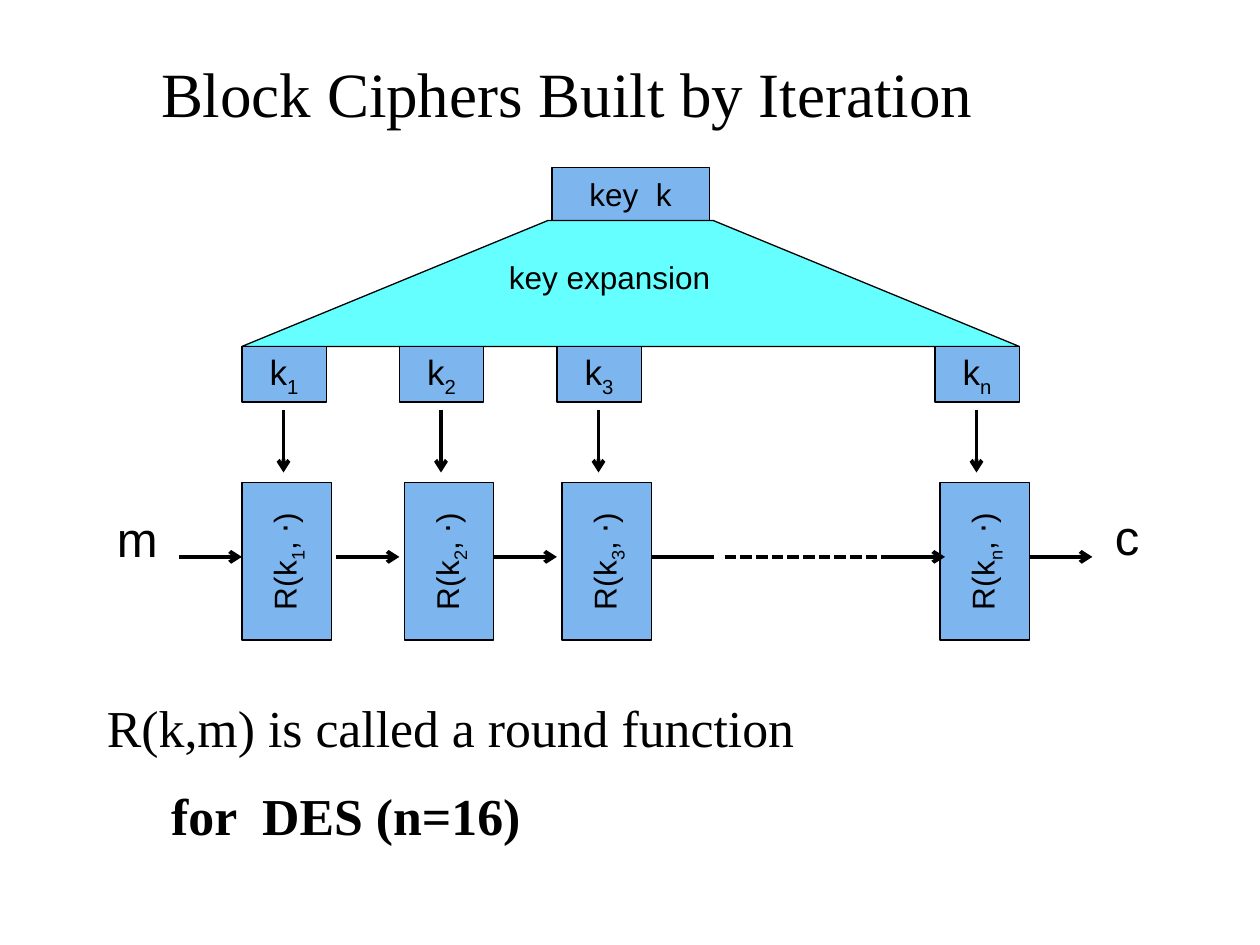
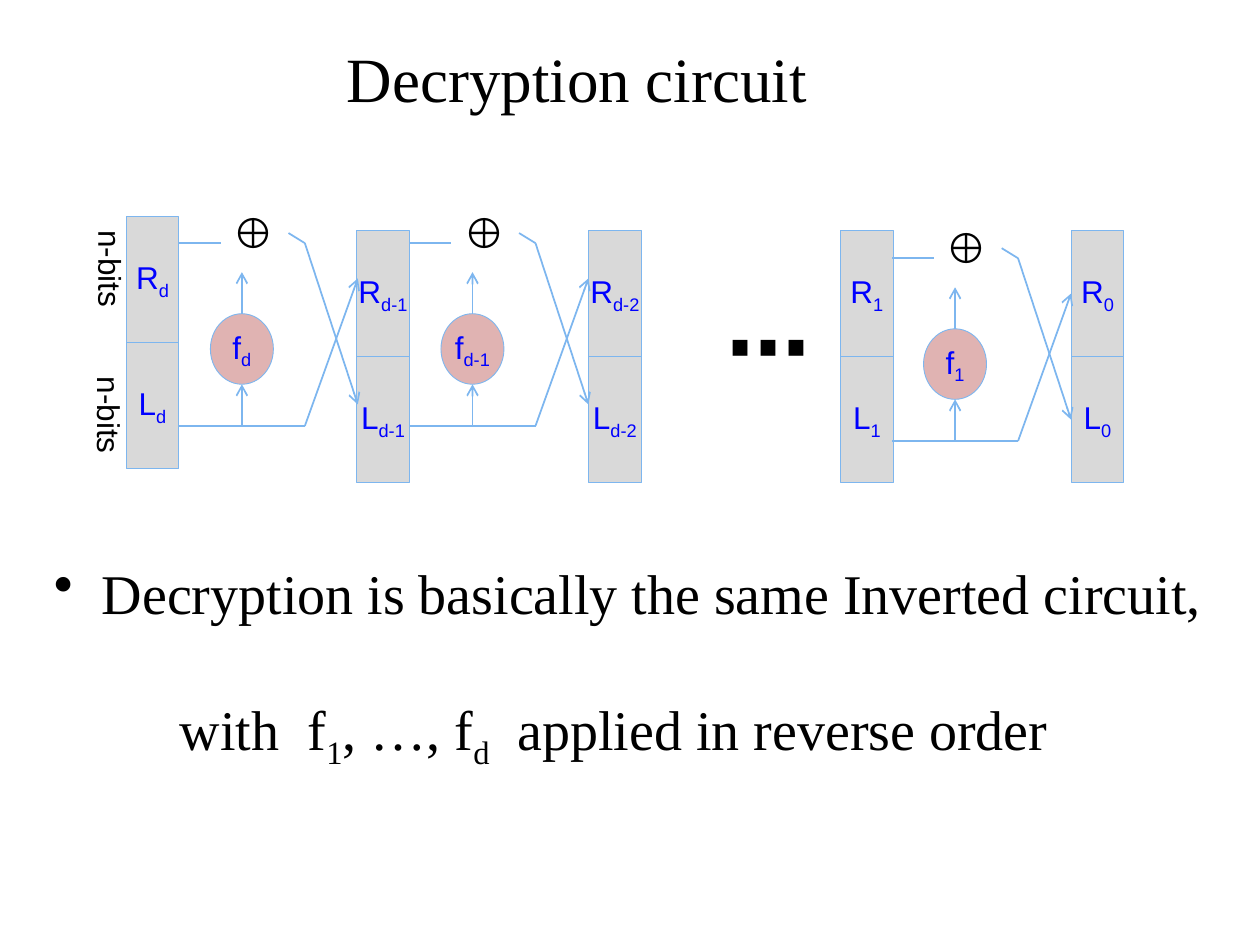
from lxml import etree
from pptx import Presentation
from pptx.dml.color import RGBColor
from pptx.enum.dml import MSO_LINE
from pptx.enum.shapes import MSO_CONNECTOR, MSO_SHAPE
from pptx.enum.text import MSO_ANCHOR, PP_ALIGN
from pptx.oxml.ns import qn
from pptx.util import Inches, Pt

RECTANGLE, OVAL, TRAPEZOID = MSO_SHAPE.RECTANGLE, MSO_SHAPE.OVAL, MSO_SHAPE.TRAPEZOID
STRAIGHT, DASH = MSO_CONNECTOR.STRAIGHT, MSO_LINE.SQUARE_DOT
CENTER, LEFT = PP_ALIGN.CENTER, PP_ALIGN.LEFT
MIDDLE, TOP = MSO_ANCHOR.MIDDLE, MSO_ANCHOR.TOP
SANS, SERIF = "Arial", "Times New Roman"
COLORS = {"black": "000000", "blue": "7DB6EF", "cyan": "66FFFF",
          "gray": "D9D9D9", "pink": "E0B3B2", "ink": "0000FF"}
TITLE = {"size": 36, "font": SERIF, "align": CENTER, "anchor": MIDDLE, "wrap": True}
BODY = {"font": SERIF, "wrap": True}
KEY_BLOCK = {"kind": RECTANGLE, "fill": "blue"}
CELL = {"fill": "gray", "edge": "blue", "weight": 0.5, "color": "ink", "side": 0}


def place(page, at, label, size=18, kind=None, fill=None, edge="black", weight=0.75,
          color="black", font=SANS, align=LEFT, anchor=TOP, wrap=False, side=0.1, turn=0):
    area = [Inches(length) for length in at]
    if kind is None:
        box = page.shapes.add_textbox(*area)
    else:
        box = page.shapes.add_shape(kind, *area)
        box.shadow.inherit = False
        box.fill.solid()
        box.fill.fore_color.rgb = RGBColor.from_string(COLORS[fill])
        box.line.color.rgb = RGBColor.from_string(COLORS[edge])
        box.line.width = Pt(weight)
        align, anchor = CENTER, MIDDLE
    box.rotation = turn
    frame = box.text_frame
    frame.word_wrap = wrap
    frame.vertical_anchor = anchor
    frame.margin_left = frame.margin_right = Inches(side)
    for row, text in enumerate(label.split("\n")):
        para = frame.add_paragraph() if row else frame.paragraphs[0]
        para.alignment = align
        for part, piece in enumerate(text.split("_")):
            span = para.add_run()
            span.text = piece
            span.font.size = Pt(size)
            span.font.name = font
            span.font.color.rgb = RGBColor.from_string(COLORS[color])
            if part % 2:
                span.font._element.set("baseline", "-25000")
    return box


def connect(page, start, end, color, weight, arrow=True):
    ends = [Inches(length) for length in (*start, *end)]
    line = page.shapes.add_connector(STRAIGHT, *ends)
    line.line.color.rgb = RGBColor.from_string(COLORS[color])
    line.line.width = Pt(weight)
    if arrow:
        etree.SubElement(line.line._get_or_add_ln(), qn("a:tailEnd"), type="arrow")
    etree.SubElement(line._element.spPr, qn("a:effectLst"))
    return line


deck = Presentation()
deck.slide_width, deck.slide_height = Inches(10), Inches(7.5)
blank = deck.slide_layouts[6]

page = deck.slides.add_slide(blank)
place(page, (0.25, 0.3, 8.5, 0.87), "Block Ciphers Built by Iteration", **TITLE)
body = place(page, (0.75, 5.53, 8.92, 1.11),
             "R(k,m) is called a round function\nfor  DES (n=16)", 29.6, **BODY)
for para in body.text_frame.paragraphs:
    para.line_spacing = 0.9
para.space_before = Pt(18.2)
para._p.get_or_add_pPr().set("marL", str(Inches(0.51)))
para.runs[0].font.bold = True

place(page, (4.38, 1.33, 1.25, 0.42), "key  k", **KEY_BLOCK)
expansion = place(page, (1.92, 1.75, 6.17, 1), "", kind=TRAPEZOID, fill="cyan")
expansion.adjustments[0] = 2.43
place(page, (3.94, 2, 1.81, 0.4), "key expansion")

for index, key_left, round_left in (("1", 1.92, 1.65), ("2", 3.17, 2.94),
                                    ("3", 4.42, 4.19), ("n", 7.42, 7.19)):
    place(page, (key_left, 2.75, 0.67, 0.44), f"k_{index}", 20, **KEY_BLOCK)
    place(page, (round_left, 4.1, 1.25, 0.71), f"R(k_{index}_, ⋅)", turn=270, **KEY_BLOCK)
    middle = key_left + 0.33
    connect(page, (middle, 3.25), (middle, 3.75), "black", 2.25)

for left in (1.42, 2.67, 3.92, 5.17, 7, 8.17):
    connect(page, (left, 4.42), (left + 0.5, 4.42), "black", 2.25, arrow=left != 5.17)
skipped = connect(page, (5.75, 4.42), (7, 4.42), "black", 2.25, arrow=False)
skipped.line.dash_style = DASH
place(page, (0.83, 3.99, 0.53, 0.57), "m", 28)
place(page, (8.75, 3.97, 0.42, 0.57), "c", 28)

page = deck.slides.add_slide(blank)
place(page, (0.33, 0.25, 8.5, 0.72), "Decryption circuit", **TITLE)
body = place(page, (0.33, 4.38, 9.33, 1.8),
             "Decryption is basically the same Inverted circuit,\n"
             "with  f_1_, …, f_d_  applied in reverse order", 32, **BODY)
bullet, ending = body.text_frame.paragraphs
properties = bullet._p.get_or_add_pPr()
properties.set("marL", str(Inches(0.38)))
properties.set("indent", str(Inches(-0.38)))
etree.SubElement(properties, qn("a:buChar"), char="•")
ending._p.get_or_add_pPr().set("marL", str(Inches(1)))
ending.space_before = Pt(39.8)

for index, left, top in (("d", 1, 1.72), ("d-1", 2.83, 1.83), ("d-2", 4.67, 1.83),
                         ("1", 6.67, 1.83), ("0", 8.5, 1.83)):
    for row, half in enumerate("RL"):
        place(page, (left, top + row, 0.42, 1), f"{half}_{index}", kind=RECTANGLE, **CELL)

for index, left, top in (("d", 1.42, 1.93), ("d-1", 3.25, 1.93), ("1", 7.08, 2.05)):
    place(page, (left + 0.33, top - 0.34, 0.54, 0.5), "⊕", 24)
    place(page, (left + 0.25, top + 0.56, 0.5, 0.56), f"f_{index}", kind=OVAL,
          **{**CELL, "fill": "pink"})
    for x1, y1, x2, y2, arrow in ((0, 1.45, 1, 1.45, False), (0, 0, 0.33, 0, False),
                                  (0.87, -0.08, 1, 0, False), (1, 0, 1.42, 1.28, True),
                                  (1, 1.45, 1.42, 0.28, True), (0.5, 1.45, 0.5, 1.12, True),
                                  (0.5, 0.56, 0.5, 0.23, True)):
        connect(page, (left + x1, top + y1), (left + x2, top + y2), "blue", 1, arrow)

for left, top in ((0.47, 1.94), (0.46, 3.1)):
    place(page, (left, top, 0.82, 0.4), "n-bits", turn=90)
dots = place(page, (5.67, 2.28, 0.77, 0.91), "⋯", 48)
dots.text_frame.paragraphs[0].runs[0].font.bold = True

deck.save("out.pptx")
